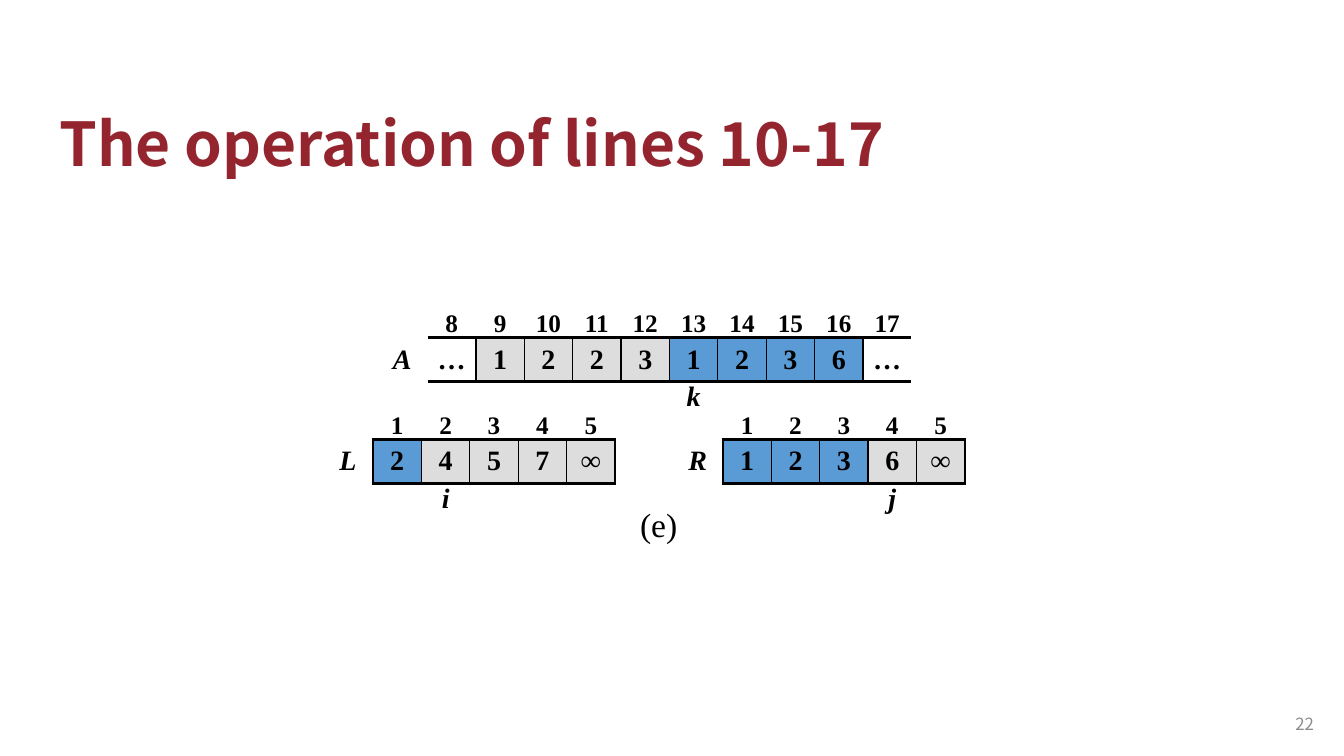
from lxml import etree
from pptx import Presentation
from pptx import util as u
from pptx.dml import color
from pptx.enum import text
from pptx.oxml import ns

SANS, SERIF = "Noto Sans CJK SC", "Times New Roman"
BLACK, GRAY, BLUE = "000000", "DDDDDD", "5B9BD5"
KEY, STEP = 0.5, 0.48
ROWS = (0.39, 0.43, 0.39)
THICK, THIN = 2.25, 1
MID = text.MSO_ANCHOR.MIDDLE
LOW = text.MSO_ANCHOR.BOTTOM
TOP = text.MSO_ANCHOR.TOP


def rgb(code):
    return color.RGBColor.from_string(code)


def write(par, words, size, face, tint=BLACK, bold=False, slant=False):
    run = par.add_run()
    run.text = words
    font = run.font
    font.size, font.name = u.Pt(size), face
    font.bold, font.italic = bold, slant
    font.color.rgb = rgb(tint)


def label(slide, box, words, size, face, tint=BLACK, bold=False,
          anchor=TOP, align=text.PP_ALIGN.LEFT, wrap=True):
    frame = slide.shapes.add_textbox(*map(u.Inches, box)).text_frame
    frame.word_wrap = wrap
    frame.vertical_anchor = anchor
    par = frame.paragraphs[0]
    par.alignment = align
    write(par, words, size, face, tint, bold)
    return frame


def border(cell, sides):
    """Draw the left, right, top and bottom edges; a width of 0 hides one."""
    props = cell._tc.get_or_add_tcPr()
    for side, width in zip("LRTB", sides):
        line = etree.SubElement(props, ns.qn(f"a:ln{side}"), w=str(u.Pt(width)))
        if width:
            fill = etree.SubElement(line, ns.qn("a:solidFill"))
            etree.SubElement(fill, ns.qn("a:srgbClr"), val=BLACK)
        else:
            etree.SubElement(line, ns.qn("a:noFill"))


def edges(row, col, count, closed):
    """Thick rules above and below the values, thin ones between them."""
    def rule(x):
        if row != 1 or x == 0:
            return 0
        if x in (1, count + 1):
            return THICK if closed else 0
        return THIN

    body = col > 0
    above = THICK if body and row in (1, 2) else 0
    below = THICK if body and row in (0, 1) else 0
    return rule(col), rule(col + 1), above, below


def array(slide, left, top, name, first, vals, blue, mark, closed=True):
    """Add an array: indices, values, and a (letter, position) mark below.

    blue holds the positions filled blue; the other values are gray.
    """
    count = len(vals)
    texts = (
        [""] + [str(first + n) for n in range(count)],
        [name] + vals,
        [mark[0] if n == mark[1] else "" for n in range(count + 1)],
    )
    table = slide.shapes.add_table(
        3, count + 1, u.Inches(left), u.Inches(top),
        u.Inches(KEY + STEP * count), u.Inches(sum(ROWS))).table
    table.first_row = table.horz_banding = False
    for n, col in enumerate(table.columns):
        col.width = u.Inches(STEP if n else KEY)
    for row, high in enumerate(ROWS):
        table.rows[row].height = u.Inches(high)
        for col, words in enumerate(texts[row]):
            cell = table.cell(row, col)
            border(cell, edges(row, col, count, closed))
            if row == 1 and col and words != "…":
                cell.fill.solid()
                cell.fill.fore_color.rgb = rgb(BLUE if col in blue else GRAY)
            else:
                cell.fill.background()
            cell.vertical_anchor = (LOW, MID, TOP)[row]
            cell.margin_top = u.Inches(0 if row == 2 else 0.05)
            cell.margin_bottom = u.Inches(0 if row == 0 else 0.05)
            par = cell.text_frame.paragraphs[0]
            par.alignment = text.PP_ALIGN.CENTER
            if words:
                write(par, words, 20 if row else 18, SERIF, bold=True,
                      slant=row == 2 or (row == 1 and col == 0))


def main():
    deck = Presentation()
    deck.slide_width, deck.slide_height = u.Inches(13.33), u.Inches(7.5)
    slide = deck.slides.add_slide(deck.slide_layouts[6])
    label(slide, (12.53, 6.98, 0.6, 0.4), "22", 12, SANS, "8C8C8C",
          anchor=MID, align=text.PP_ALIGN.RIGHT)
    title = label(slide, (0.49, 0.88, 8.43, 0.95),
                  "The operation of lines 10-17", 43.2, SANS, "94252E",
                  bold=True, anchor=LOW)
    title.paragraphs[0].line_spacing = 0.9
    array(slide, 3.74, 2.96, "A", 8, list("…12231236…"),
          range(6, 10), ("k", 6), closed=False)
    array(slide, 3.2, 3.97, "L", 1, list("2457∞"), [1], ("i", 2))
    array(slide, 6.67, 3.97, "R", 1, list("1236∞"), [1, 2, 3], ("j", 4))
    label(slide, (6.25, 4.95, 0.57, 0.5), "(e)", 24, SERIF, wrap=False)
    deck.save("out.pptx")


if __name__ == "__main__":
    main()
